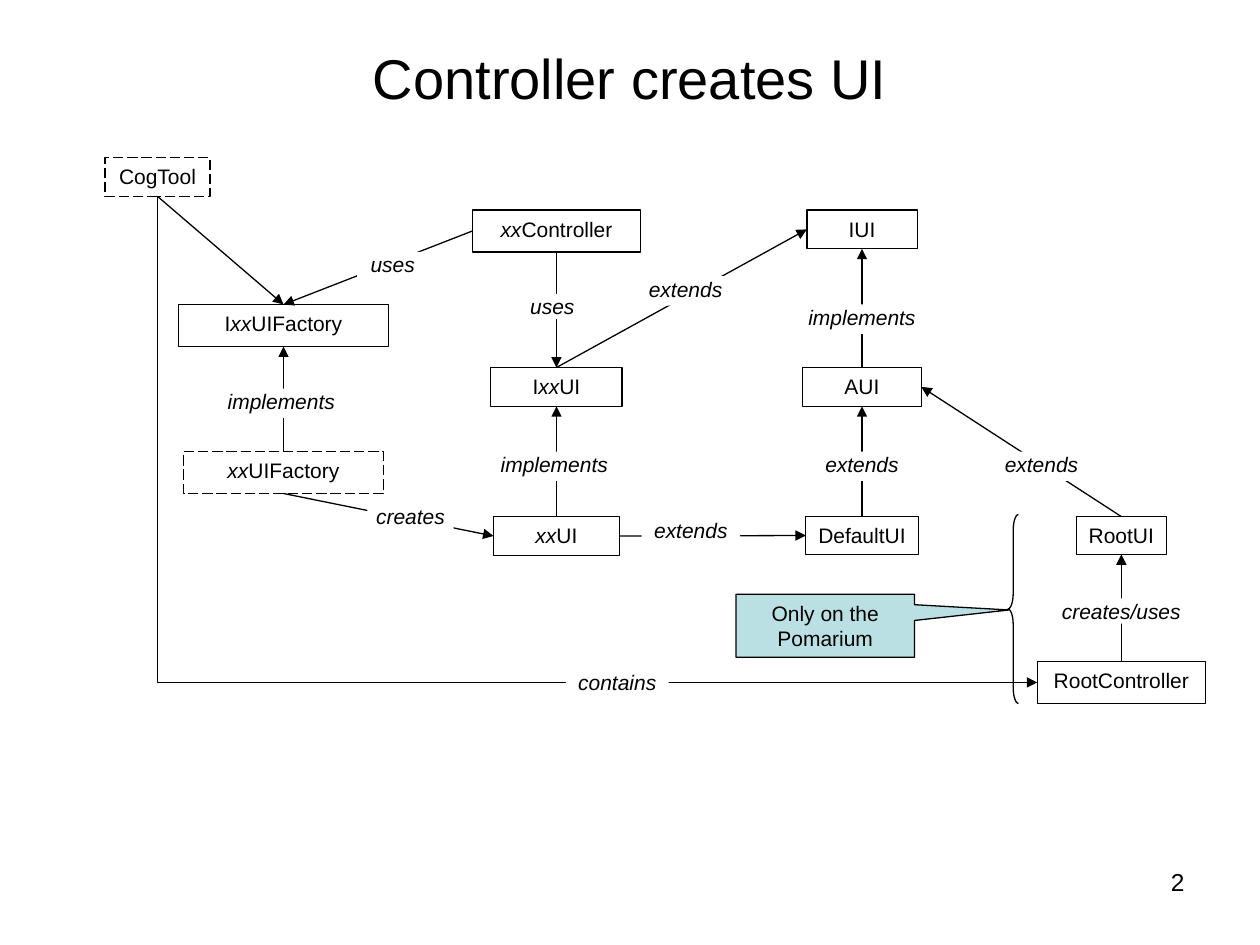
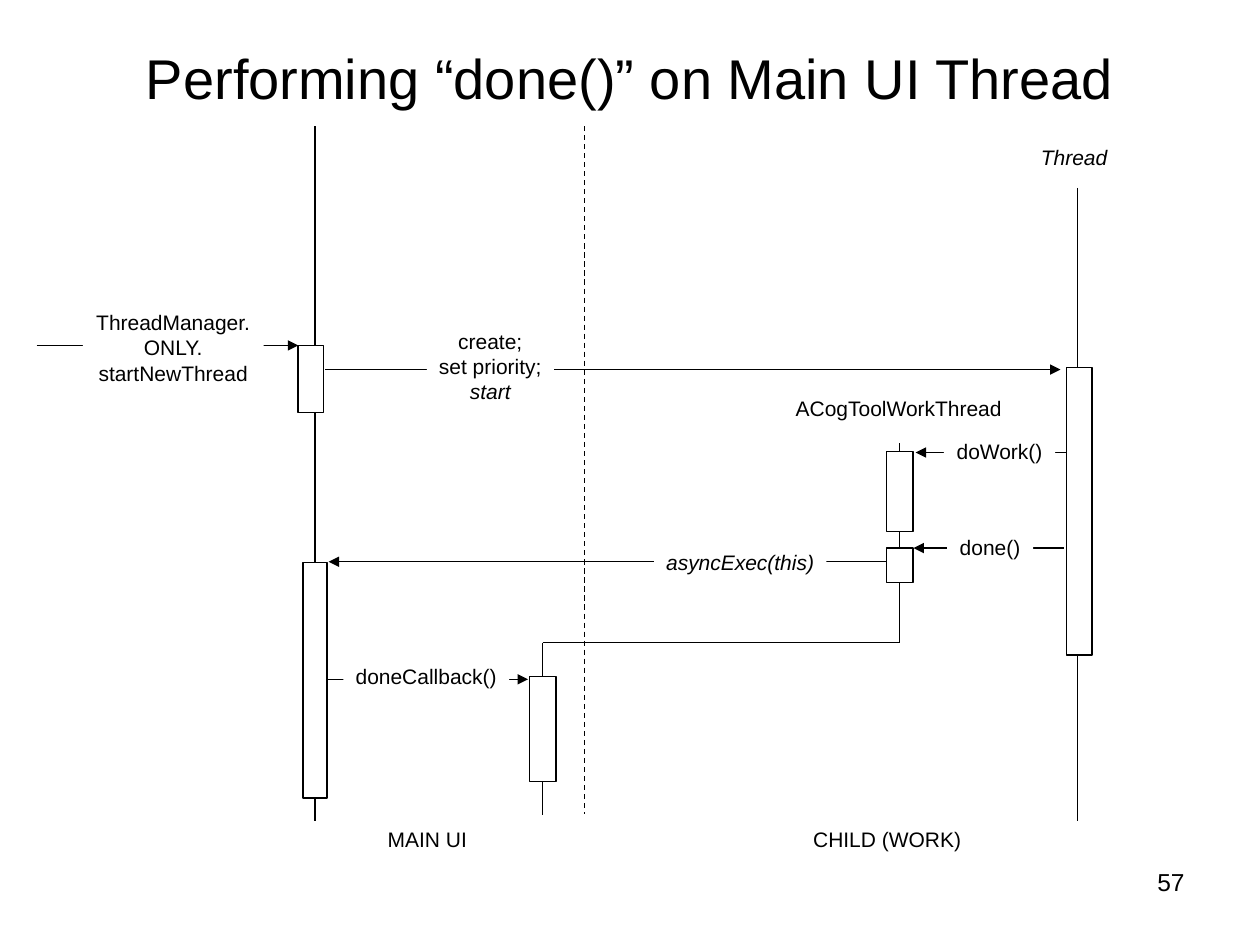
from dataclasses import dataclass
from enum import IntEnum
from typing import NamedTuple, Optional

from lxml.etree import SubElement
from pptx import Presentation
from pptx.dml.color import RGBColor
from pptx.enum.dml import MSO_LINE
from pptx.enum.shapes import MSO_CONNECTOR, MSO_SHAPE
from pptx.enum.text import MSO_ANCHOR, MSO_AUTO_SIZE, PP_ALIGN
from pptx.oxml.ns import qn
from pptx.util import Inches, Pt

COLS, ROWS = 120, 90
WIDE, HIGH = Inches(10), Inches(7.5)


@dataclass(frozen=True)
class Theme:
    font: str = "Arial"
    ink: RGBColor = RGBColor(0, 0, 0)
    paper: RGBColor = RGBColor(255, 255, 255)
    tint: RGBColor = RGBColor(0xBB, 0xE0, 0xE3)
    title: float = 32
    body: float = 12
    number: float = 14
    rule: float = 0.75
    pad: float = 0.1
    inset: float = 0.05


THEME = Theme()


class Side(IntEnum):
    """Connection sites of a rectangle."""
    TOP = 0
    LEFT = 1
    BOTTOM = 2
    RIGHT = 3


class Area(NamedTuple):
    """Centre column, top row, width and height in grid cells."""
    mid: float
    top: float
    wide: float
    high: float


class Node(NamedTuple):
    name: str
    text: str
    area: Area
    dash: Optional[MSO_LINE] = None


class Label(NamedTuple):
    text: str
    area: Area


class Link(NamedTuple):
    start: str
    exit: Side
    end: str
    entry: Side
    label: Optional[Label] = None


class Line(NamedTuple):
    x1: float
    y1: float
    x2: float
    y2: float
    dash: Optional[MSO_LINE] = None


class Call(NamedTuple):
    """A level arrow between two columns, with its label."""
    row: float
    start: float
    end: float
    label: Label


def across(cols: float) -> int:
    return round(WIDE * cols / COLS)


def down(rows: float) -> int:
    return round(HIGH * rows / ROWS)


def frame(area: Area) -> tuple[int, int, int, int]:
    return (across(area.mid - area.wide / 2), down(area.top),
            across(area.wide), down(area.high))


def write(shape, text: str, *, size: float = THEME.body, align=PP_ALIGN.CENTER,
          anchor=MSO_ANCHOR.TOP, wrap: bool = False,
          inset: float = THEME.inset) -> None:
    """Fill a shape; newlines part paragraphs and asterisks enclose italics."""
    body = shape.text_frame
    body.auto_size = MSO_AUTO_SIZE.NONE
    body.word_wrap, body.vertical_anchor = wrap, anchor
    body.margin_left = body.margin_right = Inches(THEME.pad)
    body.margin_top = body.margin_bottom = Inches(inset)
    for i, row in enumerate(text.split("\n")):
        para = body.add_paragraph() if i else body.paragraphs[0]
        para.alignment = align
        for j, part in enumerate(row.split("*")):
            if part:
                run = para.add_run()
                run.text = part
                run.font.name, run.font.size = THEME.font, Pt(size)
                run.font.color.rgb = THEME.ink
                run.font.italic = j % 2 == 1


def stroke(item, dash: Optional[MSO_LINE] = None) -> None:
    item.line.color.rgb = THEME.ink
    item.line.width = Pt(THEME.rule)
    if dash:
        item.line.dash_style = dash


def box(slide, area: Area, *, kind=MSO_SHAPE.RECTANGLE, fill=THEME.paper,
        edge: bool = True, dash: Optional[MSO_LINE] = None):
    shape = slide.shapes.add_shape(kind, *frame(area))
    shape.shadow.inherit = False
    if fill is None:
        shape.fill.background()
    else:
        shape.fill.solid()
        shape.fill.fore_color.rgb = fill
    if edge:
        stroke(shape, dash)
    else:
        shape.line.fill.background()
    return shape


def tag(slide, label: Label) -> None:
    """Set a label on a plain patch that breaks the line under it."""
    write(box(slide, label.area, edge=False), label.text, inset=0)


def join(slide, line: Line, *, kind=MSO_CONNECTOR.STRAIGHT, arrow: bool = False):
    wire = slide.shapes.add_connector(kind, across(line.x1), down(line.y1),
                                      across(line.x2), down(line.y2))
    stroke(wire, line.dash)
    if arrow:
        SubElement(wire.line._get_or_add_ln(), qn("a:tailEnd"), type="triangle")
    SubElement(wire.element.spPr, qn("a:effectLst"))
    return wire


def corner(slide, line: Line) -> None:
    """Draw an arrow that runs down and then right."""
    mid, row = (line.x1 + line.x2) / 2, (line.y1 + line.y2) / 2
    run, drop = (line.x2 - line.x1) / 2, (line.y2 - line.y1) / 2
    wire = join(slide, Line(mid - drop, row - run, mid + drop, row + run),
                kind=MSO_CONNECTOR.ELBOW, arrow=True)
    form = wire.element.spPr
    form.find(qn("a:prstGeom")).set("prst", "bentConnector2")
    turn = form.find(qn("a:xfrm"))
    turn.set("rot", "16200000")
    turn.set("flipH", "1")


def start(deck, title: str, number: int):
    """Add a slide with its title and page number."""
    slide = deck.slides.add_slide(deck.slide_layouts[5])
    head = slide.shapes.title
    head.left, head.top, head.width, head.height = frame(Area(60, 3.6, 108, 7.4))
    write(head, title, size=THEME.title, anchor=MSO_ANCHOR.MIDDLE, wrap=True)
    foot = slide.shapes.add_textbox(*frame(Area(103.5, 82, 21, 6.2)))
    write(foot, str(number), size=THEME.number, align=PP_ALIGN.RIGHT, wrap=True)
    return slide


# Columns and rows of the class diagram
MAKE, VIEW, BASE, ROOT = 27, 53, 82.1, 106.8
HEAD, MIDDLE, LOW = 20, 35, 49.2

NODES = [
    Node("control", "*xx*Controller", Area(VIEW, HEAD, 16, 4)),
    Node("maker", "*xx*UIFactory", Area(MAKE, 43, 19, 4), MSO_LINE.LONG_DASH),
    Node("imaker", "I*xx*UIFactory", Area(MAKE, 29, 20, 4)),
    Node("view", "*xx*UI", Area(VIEW, LOW, 12, 3.7)),
    Node("iview", "I*xx*UI", Area(VIEW, MIDDLE, 12.5, 3.7)),
    Node("tool", "CogTool", Area(15, 15, 10, 3.7), MSO_LINE.LONG_DASH),
    Node("iui", "IUI", Area(BASE, HEAD, 10.5, 3.7)),
    Node("aui", "AUI", Area(BASE, MIDDLE, 11.3, 3.7)),
    Node("default", "DefaultUI", Area(BASE, LOW, 10.7, 3.6)),
    Node("root", "RootUI", Area(ROOT, LOW, 8.6, 3.6)),
    Node("boss", "RootController", Area(ROOT, 63, 16, 4)),
]


def verb(text: str, mid: float, top: float, wide: float = 11.5,
         high: float = 2.8) -> Label:
    return Label(f"*{text}*", Area(mid, top, wide, high))


LINKS = [
    Link("control", Side.BOTTOM, "iview", Side.TOP, verb("uses", 52.6, 28, 6.8, 2.4)),
    Link("view", Side.TOP, "iview", Side.BOTTOM, verb("implements", 52.8, 43)),
    Link("maker", Side.TOP, "imaker", Side.BOTTOM, verb("implements", 26.8, 37)),
    Link("control", Side.LEFT, "imaker", Side.TOP, verb("uses", 37.4, 24, 6.8, 2.4)),
    Link("maker", Side.BOTTOM, "view", Side.LEFT, verb("creates", 39.1, 48, 8.2, 2.6)),
    Link("tool", Side.BOTTOM, "imaker", Side.TOP),
    Link("iview", Side.TOP, "iui", Side.LEFT, verb("extends", 65.3, 26.3)),
    Link("aui", Side.TOP, "iui", Side.BOTTOM, verb("implements", BASE, 29)),
    Link("view", Side.RIGHT, "default", Side.LEFT,
         verb("extends", 65.8, 49.3, 9.4, 2.4)),
    Link("default", Side.TOP, "aui", Side.BOTTOM, verb("extends", BASE, 43)),
    Link("root", Side.TOP, "aui", Side.RIGHT, verb("extends", 99.2, 43)),
    Link("boss", Side.TOP, "root", Side.BOTTOM,
         verb("creates/uses", ROOT, 57, 13.7, 2.4)),
]


def classes(deck) -> None:
    slide = start(deck, "Controller creates UI", 2)
    made = {}
    for node in NODES:
        made[node.name] = box(slide, node.area, dash=node.dash)
        write(made[node.name], node.text)
    for link in LINKS:
        wire = join(slide, Line(0, 0, 1, 1), arrow=True)
        wire.begin_connect(made[link.start], link.exit)
        wire.end_connect(made[link.end], link.entry)
        if link.label:
            tag(slide, link.label)
    note = box(slide, Area(78.6, 56.6, 17, 6), fill=THEME.tint,
               kind=MSO_SHAPE.RECTANGULAR_CALLOUT)
    note.adjustments[0], note.adjustments[1] = 1.03, -0.25
    write(note, "Only on the Pomarium", wrap=True)
    brace = box(slide, Area(96.5, 49, 1, 18), kind=MSO_SHAPE.LEFT_BRACE, fill=None)
    brace.adjustments[0] = 1.5
    corner(slide, Line(15, 18.7, ROOT - 8, 65))
    tag(slide, verb("contains", 58.8, 63.8, 9.8, 2.4))


# Columns of the sequence diagram
MAIN, BACK, WORK, CHILD = 30, 51.7, 85.7, 102.6
TURN = 61.2

LINES = [
    Line(MAIN, 12, MAIN, 78.2),
    Line(CHILD, 17.9, CHILD, 78.2),
    Line(55.7, 12, 55.7, 77.5, MSO_LINE.DASH),
    Line(WORK, 42.2, WORK, TURN),
    Line(BACK, TURN, WORK, TURN),
    Line(BACK, TURN, BACK, 77.6),
]
BARS = [
    Area(29.6, 32.9, 2.4, 6.4),
    Area(102.8, 35, 2.4, 27.4),
    Area(BACK, 64.4, 2.5, 10),
    Area(WORK, 43, 2.5, 7.6),
    Area(WORK, 52.2, 2.5, 3.3),
    Area(MAIN, 53.6, 2.3, 22.4),
]


def words(text: str, mid: float, top: float, wide: float) -> Label:
    return Label(text, Area(mid, top, wide, 2.4 * len(text.split("\n"))))


CALLS = [
    Call(32.9, 3.5, 28.4,
         words("ThreadManager.\nONLY.\nstartNewThread", 16.5, 29.5, 17.2)),
    Call(35.2, 31, 101, words("create;\nset priority;\n*start*", 46.7, 31.3, 12.1)),
    Call(43.1, 101.5, 87.2, words("doWork()", 95.2, 41.8, 10.6)),
    Call(52.2, 101.3, 87, words("done()", 94.3, 50.9, 8.2)),
    Call(53.5, 84.4, 31.3, words("*asyncExec(this)*", 70.5, 52.3, 16.4)),
    Call(64.7, 31.1, 50.3, words("doneCallback()", 40.6, 63.2, 15.8)),
]
HEADS = [
    words("MAIN UI", 40.7, 78.7, 10),
    words("CHILD (WORK)", 84.5, 78.7, 16.4),
    words("ACogToolWorkThread", 85.6, 37.7, 22.3),
    words("*Thread*", 102.3, 13.8, 8.8),
]


def threads(deck) -> None:
    slide = start(deck, "Performing “done()” on Main UI Thread", 57)
    for line in LINES:
        join(slide, line)
    for bar in BARS:
        box(slide, bar)
    for call in CALLS:
        join(slide, Line(call.start, call.row, call.end, call.row), arrow=True)
        tag(slide, call.label)
    for label in HEADS:
        tag(slide, label)


def main() -> None:
    deck = Presentation()
    deck.slide_width, deck.slide_height = WIDE, HIGH
    classes(deck)
    threads(deck)
    deck.save("out.pptx")


if __name__ == "__main__":
    main()
